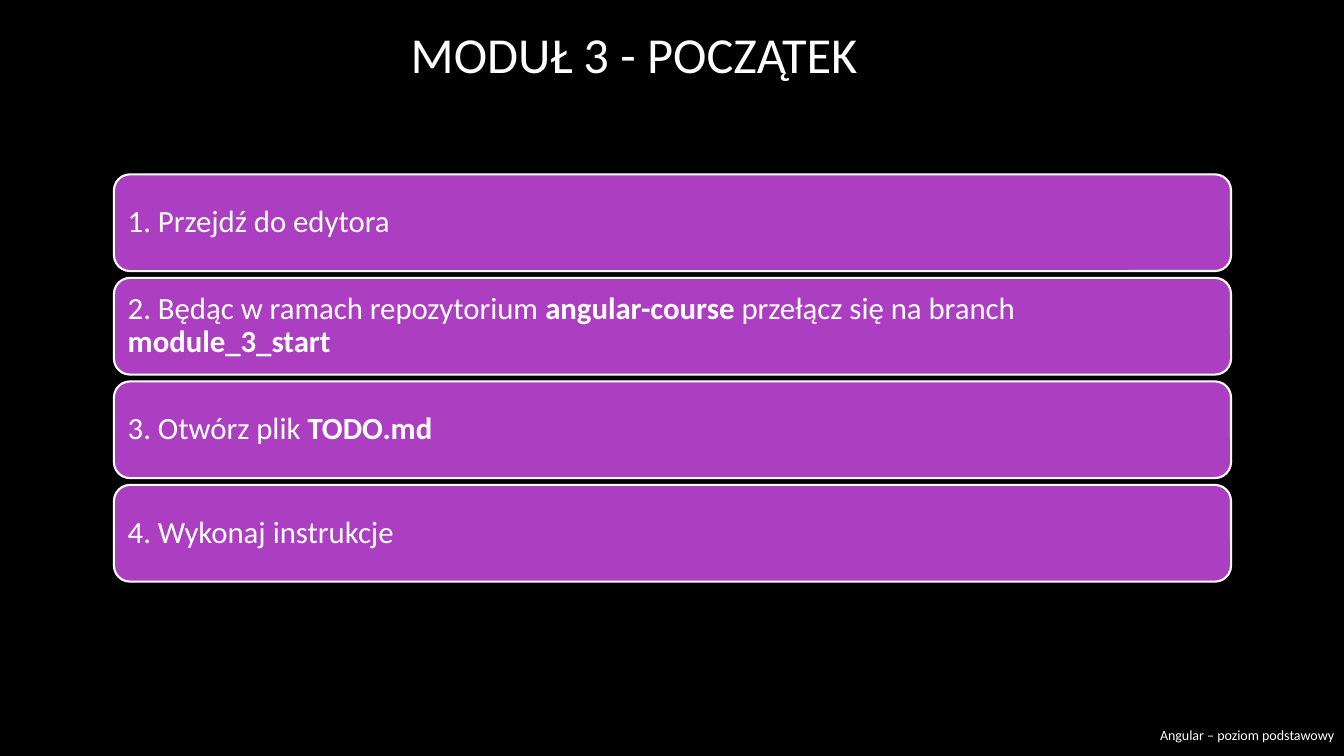
"""Build the opening slide of module 3: a title, four numbered steps and a footer."""
from pptx import Presentation
from pptx.dml.color import RGBColor
from pptx.enum.shapes import MSO_SHAPE
from pptx.enum.text import MSO_ANCHOR, PP_ALIGN
from pptx.util import Inches, Pt

ROUNDED = MSO_SHAPE.ROUNDED_RECTANGLE
MIDDLE = MSO_ANCHOR.MIDDLE
LEFT, CENTER, RIGHT = PP_ALIGN.LEFT, PP_ALIGN.CENTER, PP_ALIGN.RIGHT
BLACK, WHITE, PURPLE = "000000", "FFFFFF", "AC3EC1"
STEP_LEFT, STEP_TOP, STEP_WIDTH, STEP_HEIGHT = 1.13, 1.73, 11.08, 0.96
STEP_PITCH = 1.027


def rgb(value):
    return RGBColor.from_string(value)


def write(sp, runs, size, align):
    tf = sp.text_frame
    tf.word_wrap = True
    tf.vertical_anchor = MIDDLE
    p = tf.paragraphs[0]
    p.alignment = align
    p.font.name = "Calibri"
    p.font.size = Pt(size)
    for text, bold in runs:
        r = p.add_run()
        r.text = text
        r.font.color.rgb = rgb(WHITE)
        if bold:
            r.font.bold = True
    return tf


prs = Presentation()
prs.slide_width, prs.slide_height = Inches(13.33), Inches(7.5)
s = prs.slides.add_slide(prs.slide_layouts[6])
s.background.fill.solid()
s.background.fill.fore_color.rgb = rgb(BLACK)

title = s.shapes.add_textbox(Inches(0.75), 0, Inches(11.08), Inches(1.06))
write(title, [("MODUŁ 3 - POCZĄTEK", False)], 36, CENTER)

steps = [
    [("1. Przejdź do edytora", False)],
    [("2. Będąc w ramach repozytorium ", False), ("angular-course", True),
     (" przełącz się na branch ", False), ("module_3_start", True)],
    [("3. Otwórz plik ", False), ("TODO.md", True)],
    [("4. Wykonaj instrukcje", False)],
]
for row, runs in enumerate(steps):
    sp = s.shapes.add_shape(ROUNDED, Inches(STEP_LEFT), Inches(STEP_TOP + row * STEP_PITCH),
                            Inches(STEP_WIDTH), Inches(STEP_HEIGHT))
    sp.shadow.inherit = False
    sp.fill.solid()
    sp.fill.fore_color.rgb = rgb(PURPLE)
    sp.line.color.rgb = rgb(WHITE)
    sp.line.width = Pt(1.5)
    tf = write(sp, runs, 22, LEFT)
    tf.margin_left = tf.margin_right = tf.margin_top = tf.margin_bottom = Inches(0.09)
    tf.paragraphs[0].line_spacing = 0.9

footer = s.shapes.add_textbox(Inches(11.36), Inches(7.09), Inches(1.97), Inches(0.41))
write(footer, [("Angular – poziom podstawowy", False)], 10, RIGHT)

prs.save("out.pptx")
